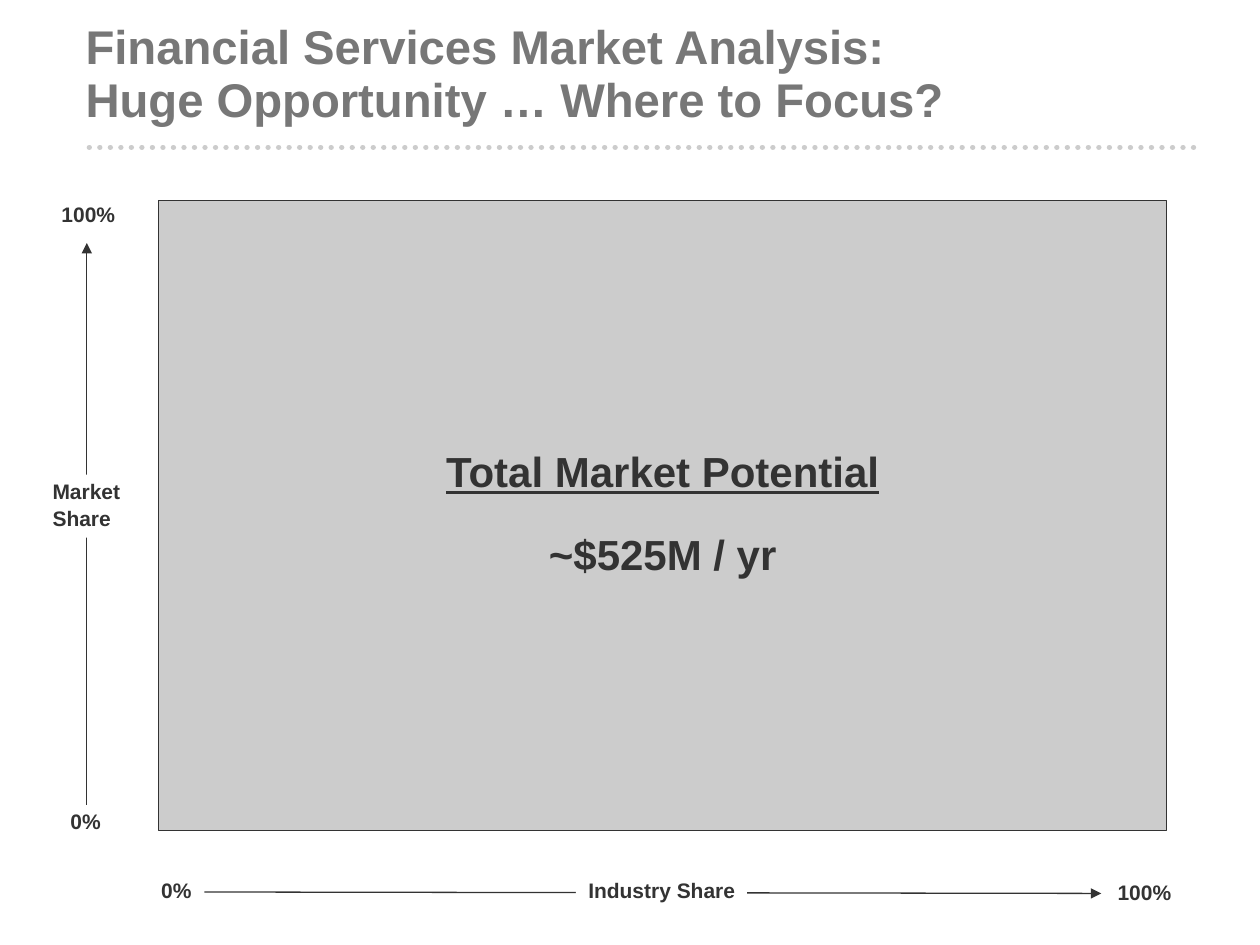
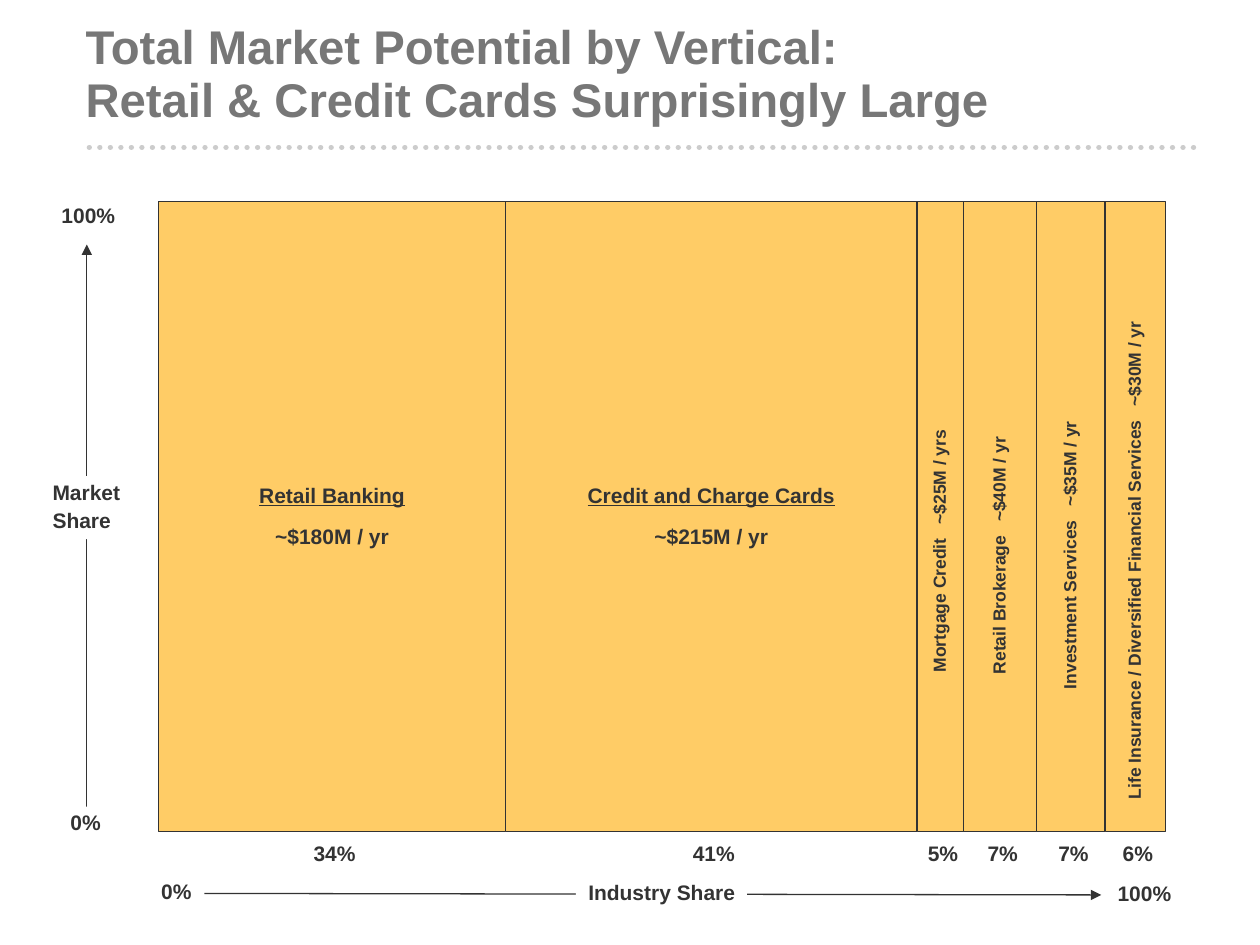
from copy import deepcopy

from lxml.etree import SubElement
from pptx import Presentation
from pptx.dml.color import RGBColor
from pptx.enum.dml import MSO_LINE
from pptx.enum.shapes import MSO_CONNECTOR, MSO_SHAPE
from pptx.enum.text import MSO_ANCHOR, MSO_AUTO_SIZE, PP_ALIGN
from pptx.oxml.ns import qn
from pptx.util import Cm, Pt

# Shared look
FONT = "Arial"
INK = RGBColor(0x33, 0x33, 0x33)
TITLE_GREY = RGBColor(0x77, 0x77, 0x77)
LIGHT_GREY = RGBColor(0xCC, 0xCC, 0xCC)
AMBER = RGBColor(0xFF, 0xCC, 0x66)
WHITE = RGBColor(0xFF, 0xFF, 0xFF)

# Shared geometry, in centimetres
AREA_LEFT, AREA_WIDTH, AREA_HEIGHT = 3.2, 20.32, 12.7
LABEL_HEIGHT = 0.71


def write(frame, *lines, size=12, color=INK, align=PP_ALIGN.LEFT, spacing=0.9,
          before=0, after=3, anchor=MSO_ANCHOR.TOP, wrap=False,
          underline_first=False, tab=None):
    """Fill a text frame with one paragraph per line."""
    frame.auto_size = MSO_AUTO_SIZE.NONE
    frame.word_wrap = wrap
    frame.vertical_anchor = anchor
    for number, line in enumerate(lines):
        paragraph = frame.add_paragraph() if number else frame.paragraphs[0]
        paragraph.text = line
        paragraph.alignment = align
        paragraph.line_spacing = spacing
        paragraph.space_before = Pt(before if number else 0)
        paragraph.space_after = Pt(after)
        if tab:
            stops = SubElement(paragraph._p.get_or_add_pPr(), qn("a:tabLst"))
            SubElement(stops, qn("a:tab"), pos=str(Cm(tab)), algn="l")
        for run in paragraph.runs:
            run.font.name = FONT
            run.font.size = Pt(size)
            run.font.bold = True
            run.font.color.rgb = color
            run.font.underline = underline_first and number == 0
        # A line break keeps the size of the text around it
        for line_break in paragraph._p.findall(qn("a:br")):
            line_break.append(deepcopy(paragraph.runs[0]._r.rPr))


def add_line(slide, x1, y1, x2, y2, color=INK, width=0.75, arrow=False, dotted=False):
    line = slide.shapes.add_connector(
        MSO_CONNECTOR.STRAIGHT, Cm(x1), Cm(y1), Cm(x2), Cm(y2))
    line.line.color.rgb = color
    line.line.width = Pt(width)
    properties = line._element.spPr
    outline = properties.find(qn("a:ln"))
    if dotted:
        line.line.dash_style = MSO_LINE.ROUND_DOT
        outline.set("cap", "rnd")
    if arrow:
        SubElement(outline, qn("a:tailEnd"), type="triangle")
    SubElement(properties, qn("a:effectLst"))


# Content: title, top of the area, and blocks as
# (name, amount, share, width, fill, size, start of vertical text, tab)
SLIDES = [
    ("Financial Services Market Analysis: \vHuge Opportunity … Where to Focus?", 4.04, [
        ("Total Market Potential", "~$525M / yr", None, AREA_WIDTH, LIGHT_GREY, 24, None, None),
    ]),
    ("Total Market Potential by Vertical:\vRetail & Credit Cards Surprisingly Large", 4.07, [
        ("Retail Banking", "~$180M / yr", "34%", 6.99, AMBER, 12, None, None),
        ("Credit and Charge Cards", "~$215M / yr", "41%", 8.3, AMBER, 12, None, None),
        ("Mortgage Credit", "~$25M / yrs", "5%", 0.94, AMBER, 10, 13.8, 2.98),
        ("Retail Brokerage", "~$40M / yr", "7%", 1.47, AMBER, 10, 13.84, 3.07),
        ("Investment Services", "~$35M / yr", "7%", 1.38, AMBER, 10, 14.14, 3.69),
        ("Life Insurance / Diversified Financial Services", "~$30M / yr", "6%",
         1.22, AMBER, 10, 16.36, 7.92),
    ]),
]

# Axis labels: lines, left, offset from the top of the area, width, height
AXIS_LABELS = [
    (["Industry Share"], 11.61, 13.59, 3.45, LABEL_HEIGHT),
    (["0%"], 3.0, 13.58, 1.12, LABEL_HEIGHT),
    (["100%"], 22.28, 13.62, 1.57, LABEL_HEIGHT),
    (["Market", "Share"], 0.81, 5.53, 1.88, 1.27),
    (["0%"], 1.17, 12.19, 1.12, LABEL_HEIGHT),
    (["100%"], 0.99, -0.05, 1.57, LABEL_HEIGHT),
]

deck = Presentation()
deck.slide_width, deck.slide_height = Cm(25.4), Cm(19.05)

for title, top, blocks in SLIDES:
    slide = deck.slides.add_slide(deck.slide_layouts[5])

    # Title and dotted rule
    heading = slide.shapes.title
    heading.left, heading.top, heading.width, heading.height = (
        Cm(1.47), Cm(0.25), Cm(19.4), Cm(2.54))
    write(heading.text_frame, title, size=27, color=TITLE_GREY, spacing=0.93,
          after=0, anchor=MSO_ANCHOR.MIDDLE, wrap=True)
    add_line(slide, 1.8, 2.97, 24.26, 2.97, LIGHT_GREY, 3, dotted=True)

    # Market blocks, side by side
    left = AREA_LEFT
    for name, amount, share, width, fill, size, start, tab in blocks:
        block = slide.shapes.add_shape(
            MSO_SHAPE.RECTANGLE, Cm(left), Cm(top), Cm(width), Cm(AREA_HEIGHT))
        block.shadow.inherit = False
        block.fill.solid()
        block.fill.fore_color.rgb = fill
        block.line.color.rgb = INK
        block.line.width = Pt(0.75)
        center = left + width / 2
        if start is None:
            write(block.text_frame, name, amount, size=size, align=PP_ALIGN.CENTER,
                  before=size * 0.625, after=size / 4, anchor=MSO_ANCHOR.MIDDLE,
                  underline_first=True)
        else:
            # Narrow block: text turned to read upwards from its start
            length, depth = tab + 3, 0.64
            upright = slide.shapes.add_textbox(
                Cm(center - length / 2), Cm(start - length / 2 - depth / 2),
                Cm(length), Cm(depth))
            upright.rotation = 270
            write(upright.text_frame, f"{name}\t{amount}", size=size, after=2.5,
                  wrap=True, tab=tab)
        if share:
            share_label = slide.shapes.add_textbox(
                Cm(center - 0.75), Cm(16.87), Cm(1.6), Cm(LABEL_HEIGHT))
            write(share_label.text_frame, share, align=PP_ALIGN.CENTER, wrap=True)
        left += width

    # Axes with their labels on top
    add_line(slide, 3.23, top + 13.94, 22.2, top + 13.97, arrow=True)
    add_line(slide, 1.75, top + 12.65, 1.75, top + 0.86, arrow=True)
    for lines, label_left, offset, width, height in AXIS_LABELS:
        label = slide.shapes.add_shape(
            MSO_SHAPE.RECTANGLE, Cm(label_left), Cm(top + offset), Cm(width), Cm(height))
        label.shadow.inherit = False
        label.fill.solid()
        label.fill.fore_color.rgb = WHITE
        label.line.fill.background()
        write(label.text_frame, *lines)

deck.save("out.pptx")
